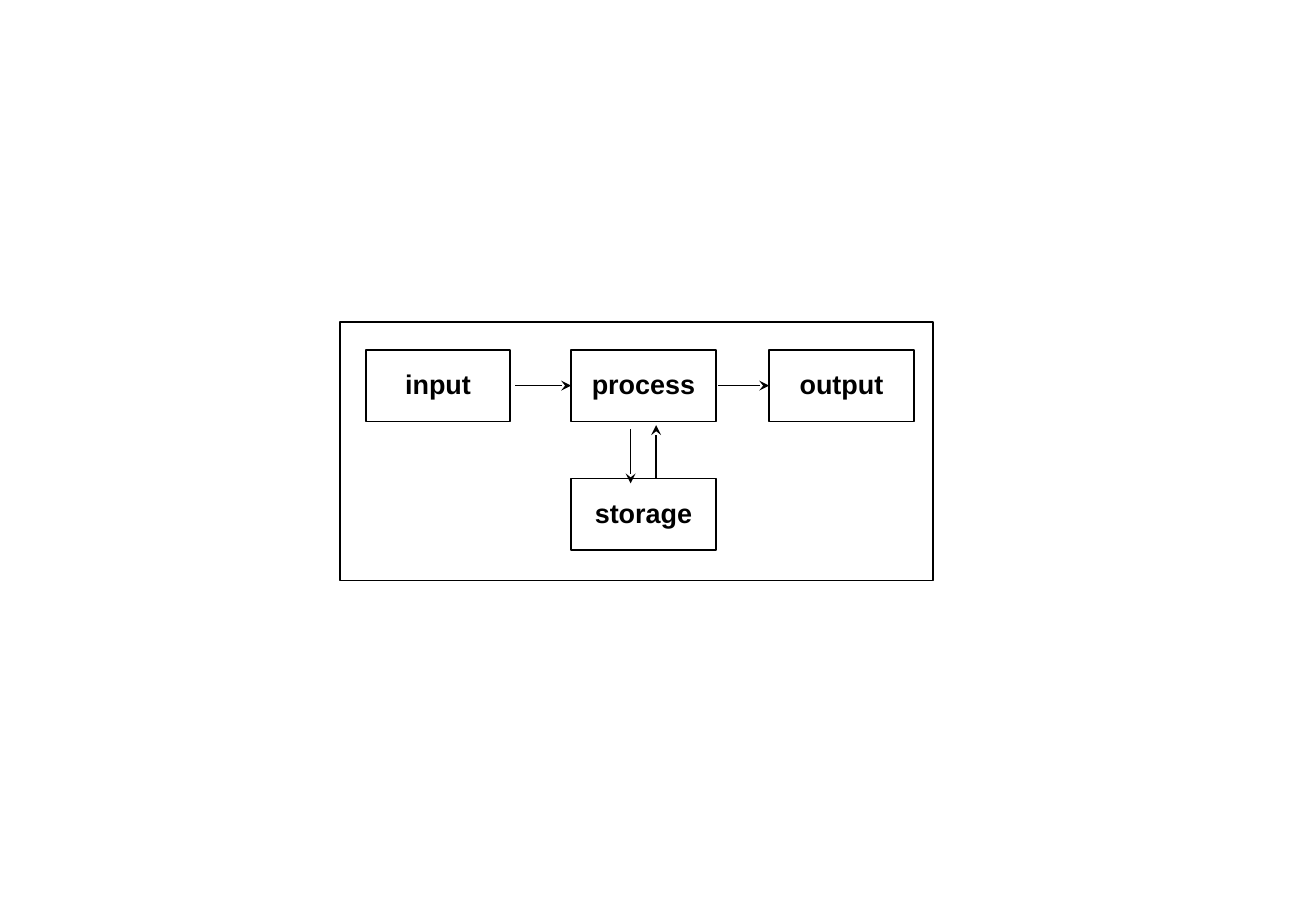
from dataclasses import dataclass

from lxml.etree import SubElement
from pptx import Presentation
from pptx.dml.color import RGBColor
from pptx.enum.shapes import MSO_CONNECTOR, MSO_SHAPE
from pptx.enum.text import MSO_ANCHOR, PP_ALIGN
from pptx.oxml.ns import qn
from pptx.util import Inches, Pt


@dataclass(frozen=True)
class Theme:
    ink: RGBColor = RGBColor(0, 0, 0)
    font: str = "Arial"
    label: Pt = Pt(16)
    line: Pt = Pt(1)


theme = Theme()

prs = Presentation()
prs.slide_width, prs.slide_height = Inches(10.83), Inches(7.5)
s = prs.slides.add_slide(prs.slide_layouts[6])


def add_box(x, y, w, h, text="", size=theme.label, bold=True):
    """Add an unfilled, outlined rectangle with an optional centred label."""
    sp = s.shapes.add_shape(MSO_SHAPE.RECTANGLE, Inches(x), Inches(y), Inches(w), Inches(h))
    sp.shadow.inherit = False
    sp.fill.background()
    sp.line.color.rgb = theme.ink
    sp.line.width = theme.line
    if text:
        tf = sp.text_frame
        tf.word_wrap = False
        tf.vertical_anchor = MSO_ANCHOR.MIDDLE
        p = tf.paragraphs[0]
        p.alignment = PP_ALIGN.CENTER
        p.line_spacing = 0.9
        r = p.add_run()
        r.text = text
        r.font.name, r.font.size, r.font.bold = theme.font, size, bold
        r.font.color.rgb = theme.ink
    return sp


def add_arrow(x1, y1, x2, y2, target=None):
    """Add an arrow; a target box is joined at the middle of its left side."""
    cn = s.shapes.add_connector(
        MSO_CONNECTOR.STRAIGHT, Inches(x1), Inches(y1), Inches(x2), Inches(y2))
    if target is not None:
        cn.end_connect(target, 1)
    cn.line.color.rgb = theme.ink
    cn.line.width = theme.line
    SubElement(cn.line._get_or_add_ln(), qn("a:tailEnd"), type="stealth")
    SubElement(cn._element.spPr, qn("a:effectLst"))


box_w, box_h = 1.19, 0.59
top, storage_top = 2.88, 3.94
mid = top + box_h / 2
process_x, output_x = 4.7, 6.33

boxes = {}
for name, x, y in [
    ("input", 3.01, top),
    ("process", process_x, top),
    ("output", output_x, top),
    ("storage", process_x, storage_top),
]:
    boxes[name] = add_box(x, y, box_w, box_h, name)

add_arrow(4.24, mid, process_x, mid, boxes["process"])
add_arrow(5.91, mid, output_x, mid, boxes["output"])
add_arrow(5.19, 3.53, 5.19, 3.98)
add_arrow(5.4, storage_top, 5.4, 3.5)

add_box(2.8, 2.65, 4.88, 2.13)

prs.save("out.pptx")
